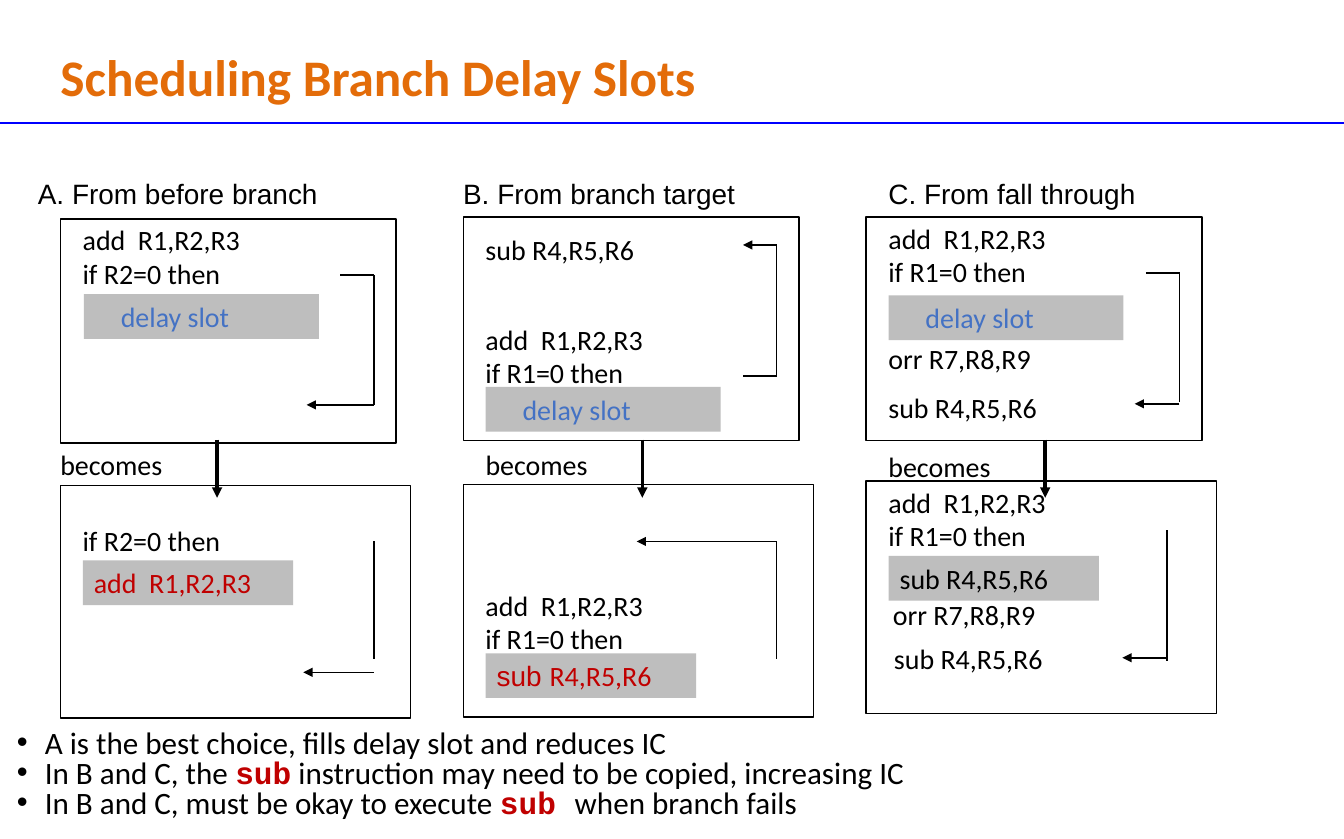
from lxml import etree
from pptx import Presentation
from pptx.dml.color import RGBColor
from pptx.enum.shapes import MSO_CONNECTOR, MSO_SHAPE
from pptx.enum.text import MSO_ANCHOR, MSO_AUTO_SIZE, PP_ALIGN
from pptx.oxml.ns import qn
from pptx.util import Inches, Pt

STRAIGHT, RECT = MSO_CONNECTOR.STRAIGHT, MSO_SHAPE.RECTANGLE
TOP, MIDDLE = MSO_ANCHOR.TOP, MSO_ANCHOR.MIDDLE
LEFT, NO_FIT = PP_ALIGN.LEFT, MSO_AUTO_SIZE.NONE

BLACK = RGBColor(0x00, 0x00, 0x00)
ORANGE = RGBColor(0xE3, 0x6C, 0x09)
RULE_BLUE = RGBColor(0x00, 0x00, 0xFF)
SLOT_BLUE = RGBColor(0x44, 0x72, 0xC4)
RED = RGBColor(0xC0, 0x00, 0x00)
GREY = RGBColor(0xBE, 0xBE, 0xBE)

CODE = {"size": Pt(18), "name": "Calibri", "bold": False}
HEADING = {**CODE, "name": "Arial"}
TITLE = {**CODE, "size": Pt(33), "bold": True}
BULLET = {**CODE, "size": Pt(20)}
BULLET_CODE = {**BULLET, "name": "Courier New", "bold": True}


def write(shape, lines, spacing=1.0, anchor=TOP):
    """Fill a shape with lines, each a list of (text, font format, colour)."""
    tf = shape.text_frame
    tf.word_wrap, tf.auto_size, tf.vertical_anchor = True, NO_FIT, anchor
    for i, runs in enumerate(lines):
        p = tf.paragraphs[0] if i == 0 else tf.add_paragraph()
        p.alignment, p.line_spacing, p.space_before = LEFT, spacing, Pt(0)
        for text, style, color in runs:
            r = p.add_run()
            r.text = text
            for key, value in style.items():
                setattr(r.font, key, value)
            r.font.color.rgb = color


def add_line(x1, y1, x2, y2, arrow=False, width=1, color=BLACK):
    c = s.shapes.add_connector(STRAIGHT, Inches(x1), Inches(y1), Inches(x2), Inches(y2))
    c.line.width = Pt(width)
    c.line.color.rgb = color
    spPr = c.element.spPr
    if arrow:
        etree.SubElement(spPr.find(qn("a:ln")), qn("a:tailEnd"), type="triangle")
    etree.SubElement(spPr, qn("a:effectLst"))


prs = Presentation()
prs.slide_width, prs.slide_height = Inches(12.01), Inches(7.5)
s = prs.slides.add_slide(prs.slide_layouts[1])

# Title and rule
title, body = s.placeholders
title.left, title.top, title.width, title.height = map(Inches, (0.44, 0.43, 8.45, 0.56))
write(title, [[("Scheduling Branch Delay Slots", TITLE, ORANGE)]], 0.9, MIDDLE)
add_line(0, 1.1, 12.01, 1.1, width=0.75, color=RULE_BLUE)

# Code frames: one column per strategy, before above after
COLUMN_LEFT, COLUMN_STEP = 0.54, 3.6
for i, (before_top, after_top) in enumerate([(1.96, 4.34), (1.94, 4.33), (1.94, 4.3)]):
    x = COLUMN_LEFT + i * COLUMN_STEP
    for top, width, height in [(before_top, 3, 2), (after_top, 3.13, 2.08)]:
        frame = s.shapes.add_shape(RECT, Inches(x), Inches(top), Inches(width), Inches(height))
        frame.shadow.inherit = False
        frame.fill.background()
        frame.line.color.rgb = BLACK
        frame.line.width = Pt(1)

# Headings, instructions and captions
ADD, SUB, ORR = "add  R1,R2,R3", "sub R4,R5,R6", "orr R7,R8,R9"
IF_R1, IF_R2 = "if R1=0 then", "if R2=0 then"
labels = [
    (0.24, 1.53, 3.4, HEADING, ["A. From before branch"]),
    (4.04, 1.53, 3.3, HEADING, ["B. From branch target"]),
    (7.84, 1.53, 3.1, HEADING, ["C. From fall through"]),
    (0.64, 1.94, 2.7, CODE, [ADD, IF_R2]),
    (4.24, 2.03, 2.7, CODE, [SUB]),
    (4.24, 2.83, 2.7, CODE, [ADD, IF_R1]),
    (7.84, 1.93, 2.7, CODE, [ADD, IF_R1]),
    (7.84, 3.0, 2.7, CODE, [ORR]),
    (7.84, 3.44, 2.7, CODE, [SUB]),
    (0.44, 3.95, 1.25, CODE, ["becomes"]),
    (4.24, 3.95, 1.25, CODE, ["becomes"]),
    (7.84, 3.97, 1.25, CODE, ["becomes"]),
    (0.64, 4.63, 2.5, CODE, [IF_R2]),
    (4.24, 5.21, 2.5, CODE, [ADD, IF_R1]),
    (7.84, 4.29, 2.5, CODE, [ADD, IF_R1]),
    (7.88, 5.29, 2.7, CODE, [ORR]),
    (7.89, 5.69, 2.7, CODE, [SUB]),
]
for x, y, width, style, lines in labels:
    height = 0.1 + 0.3 * len(lines)
    box = s.shapes.add_textbox(Inches(x), Inches(y), Inches(width), Inches(height))
    write(box, [[(text, style, BLACK)] for text in lines])

# Delay slots, empty above and filled below
EMPTY = [("delay slot", CODE, SLOT_BLUE)]
slots = [
    (0.75, 2.63, 2.1, 0.33, EMPTY),
    (4.34, 3.46, 2.1, 0.33, EMPTY),
    (7.94, 2.64, 2.1, 0.33, EMPTY),
    (0.74, 5.01, 1.88, 0.1, [(ADD, CODE, RED)]),
    (4.34, 5.84, 1.88, 0.1, [("sub ", HEADING, RED), ("R4,R5,R6", CODE, RED)]),
    (7.94, 4.97, 1.88, 0.1, [(SUB, CODE, BLACK)]),
]
for x, y, width, inset, runs in slots:
    slot = s.shapes.add_shape(RECT, Inches(x), Inches(y), Inches(width), Inches(0.4))
    slot.shadow.inherit = False
    slot.fill.solid()
    slot.fill.fore_color.rgb = GREY
    slot.line.fill.background()
    write(slot, [runs], anchor=MIDDLE)
    slot.text_frame.margin_left = Inches(inset)

# Branch paths
branch_lines = [
    (3.04, 2.46, 3.34, 2.46), (3.34, 2.46, 3.34, 3.62),
    (6.64, 3.36, 6.94, 3.36), (6.94, 2.19, 6.94, 3.36),
    (10.24, 2.44, 10.54, 2.44), (10.54, 2.43, 10.54, 3.59),
    (3.34, 4.84, 3.34, 5.89),
    (6.94, 4.84, 6.94, 5.89),
    (10.43, 4.74, 10.43, 5.91),
]
for ends in branch_lines:
    add_line(*ends)

branch_arrows = [
    (3.34, 3.62, 2.74), (6.94, 2.19, 6.64), (10.54, 3.61, 10.14),
    (3.34, 6.01, 2.71), (6.94, 4.84, 5.69), (10.43, 5.88, 10.03),
]
for x1, y, x2 in branch_arrows:
    add_line(x1, y, x2, y, arrow=True)

for x in (1.94, 5.74, 9.34):
    add_line(x, 3.93, x, 4.45, arrow=True, width=2.25)

# Conclusions
body.left, body.top, body.width, body.height = map(Inches, (0.05, 6.48, 10.71, 0.97))
write(body, [
    [("A is the best choice, fills delay slot and reduces IC", BULLET, BLACK)],
    [("In B and C, the ", BULLET, BLACK), ("sub", BULLET_CODE, RED),
     (" instruction may need to be copied, increasing IC", BULLET, BLACK)],
    [("In B and C, must be okay to execute ", BULLET, BLACK), ("sub ", BULLET_CODE, RED),
     ("when branch fails", BULLET, BLACK)],
], 0.8)
for p in body.text_frame.paragraphs:
    pPr = p._p.get_or_add_pPr()
    pPr.set("marL", str(Inches(0.25)))
    pPr.set("indent", str(-Inches(0.25)))
    etree.SubElement(pPr, qn("a:buChar"), char="•")

prs.save("out.pptx")
